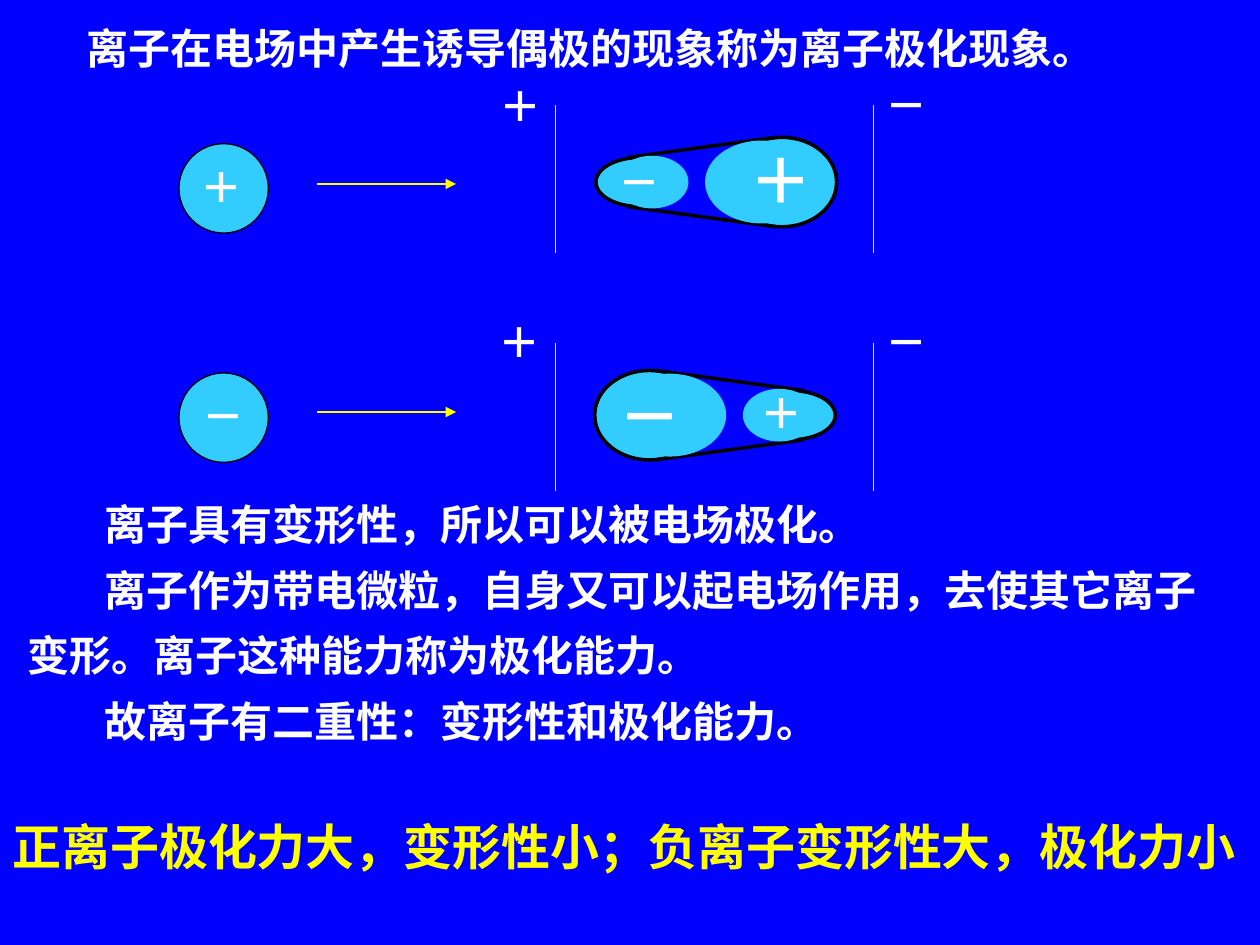
from pptx import Presentation
from pptx.dml.color import RGBColor
from pptx.enum.shapes import MSO_CONNECTOR, MSO_SHAPE
from pptx.enum.text import MSO_AUTO_SIZE
from pptx.oxml.ns import qn
from pptx.util import Inches, Pt
from lxml.etree import SubElement

COLORS = {"back": "0000FF", "text": "FFFFFF", "accent": "FFFF00",
          "ion": "33CCFF", "outline": "000000"}

# Content
HEADING = "离子在电场中产生诱导偶极的现象称为离子极化现象。"
BODY = [  # text, first-line indent
    ("离子具有变形性，所以可以被电场极化。", 0.61),
    ("离子作为带电微粒，自身又可以起电场作用，去使其它离子", 0.61),
    ("变形。离子这种能力称为极化能力。", 0),
    ("故离子有二重性：变形性和极化能力。", 0.61),
]
SUMMARY = "正离子极化力大，变形性小；负离子变形性大，极化力小"

SIGNS = [  # sign, left, top, width, size
    ("＋", 1.49, 1.11, 0.63, 24), ("－", 1.51, 2.93, 0.63, 24),
    ("＋", 3.87, 0.47, 0.53, 24), ("－", 6.93, 0.46, 0.63, 24),
    ("＋", 3.86, 2.34, 0.53, 24), ("－", 6.93, 2.34, 0.63, 24),
    ("－", 4.81, 1.07, 0.63, 24), ("＋", 5.85, 0.89, 0.7, 36),
    ("－", 4.81, 2.77, 0.63, 36), ("＋", 5.94, 2.91, 0.53, 24),
]

# Geometry of the polarized ion: its small end is on the left
OUTLINES = [(4.73, 1.25, 0.7, 0.39), (5.77, 1.09, 0.87, 0.71)]
SIDES = [(4.98, 1.25, 6.16, 1.09), (4.98, 1.64, 6.16, 1.8)]
CORES = [(4.9, 1.25, 0.55, 0.39), (5.61, 1.13, 0.87, 0.63)]
ION_AXIS = 5.68
ION_DROP = 1.85

FREE_IONS = [(1.14, 1.46), (2.96, 3.27)]  # circle top, arrow height
PLATE_TOPS = [0.83, 2.72]
PLATE_LEFTS = [4.41, 6.93]
PLATE_HEIGHT = 1.18


def rgb(name):
    return RGBColor.from_string(COLORS[name])


def add_text(slide, lines, left, top, width, height, size=24,
             color="text", spacing=None, wrap=True):
    box = slide.shapes.add_textbox(*map(Inches, (left, top, width, height)))
    frame = box.text_frame
    frame.word_wrap = wrap
    frame.auto_size = MSO_AUTO_SIZE.SHAPE_TO_FIT_TEXT
    font_format = {"name": "Times New Roman", "size": Pt(size), "bold": True}
    for number, (text, indent) in enumerate(lines):
        para = frame.add_paragraph() if number else frame.paragraphs[0]
        if spacing:
            para.line_spacing = spacing
        if indent:
            para._p.get_or_add_pPr().set("indent", str(Inches(indent)))
        span = para.add_run()
        span.text = text
        for key, value in font_format.items():
            setattr(span.font, key, value)
        span.font.color.rgb = rgb(color)


def add_ellipse(slide, left, top, width, height, line_color="outline", weight=2):
    oval = slide.shapes.add_shape(
        MSO_SHAPE.OVAL, *map(Inches, (left, top, width, height)))
    oval.shadow.inherit = False
    oval.fill.solid()
    oval.fill.fore_color.rgb = rgb("ion")
    oval.line.color.rgb = rgb(line_color)
    oval.line.width = Pt(weight)


def add_line(slide, x1, y1, x2, y2, color="accent", weight=0.75, arrow=False):
    line = slide.shapes.add_connector(
        MSO_CONNECTOR.STRAIGHT, *map(Inches, (x1, y1, x2, y2)))
    line.line.color.rgb = rgb(color)
    line.line.width = Pt(weight)
    if arrow:
        SubElement(line.line._get_or_add_ln(), qn("a:tailEnd"), type="triangle")
    SubElement(line._element.spPr, qn("a:effectLst"))


def add_polarized_ion(slide, drop=0, mirrored=False):
    def across(x, width=0):
        return 2 * ION_AXIS - x - width if mirrored else x

    def add_ends(ends, line_color):
        for left, top, width, height in ends:
            add_ellipse(slide, across(left, width), top + drop,
                        width, height, line_color)

    add_ends(OUTLINES, "outline")
    for x1, y1, x2, y2 in SIDES:
        add_line(slide, across(x1), y1 + drop, across(x2), y2 + drop, "outline", 2)
    add_ends(CORES, "ion")


def main():
    deck = Presentation()
    deck.slide_width, deck.slide_height = Inches(10), Inches(7.5)
    slide = deck.slides.add_slide(deck.slide_layouts.get_by_name("Blank"))
    slide.background.fill.solid()
    slide.background.fill.fore_color.rgb = rgb("back")

    # Explanations
    add_text(slide, [(HEADING, 0)], 0.59, 0.13, 8.2, 0.5, wrap=False)
    add_text(slide, BODY, 0.12, 3.79, 9.68, 2.18, spacing=1.3)

    # Free ions and arrows
    for circle_top, arrow_y in FREE_IONS:
        add_ellipse(slide, 1.42, circle_top, 0.71, 0.71, weight=0.75)
        add_line(slide, 2.52, arrow_y, 3.62, arrow_y, arrow=True)

    # Polarized ions between charged plates
    add_polarized_ion(slide)
    add_polarized_ion(slide, ION_DROP, mirrored=True)
    for top in PLATE_TOPS:
        for left in PLATE_LEFTS:
            add_line(slide, left, top, left, top + PLATE_HEIGHT)

    # Charge signs
    for sign, left, top, width, size in SIGNS:
        height = 0.88 if size == 36 else 0.62
        add_text(slide, [(sign, 0)], left, top, width, height, size, spacing=1.3)

    # Summary
    add_text(slide, [(SUMMARY, 0)], 0, 6.43, 10, 0.57, 28, "accent")
    deck.save("out.pptx")


if __name__ == "__main__":
    main()
